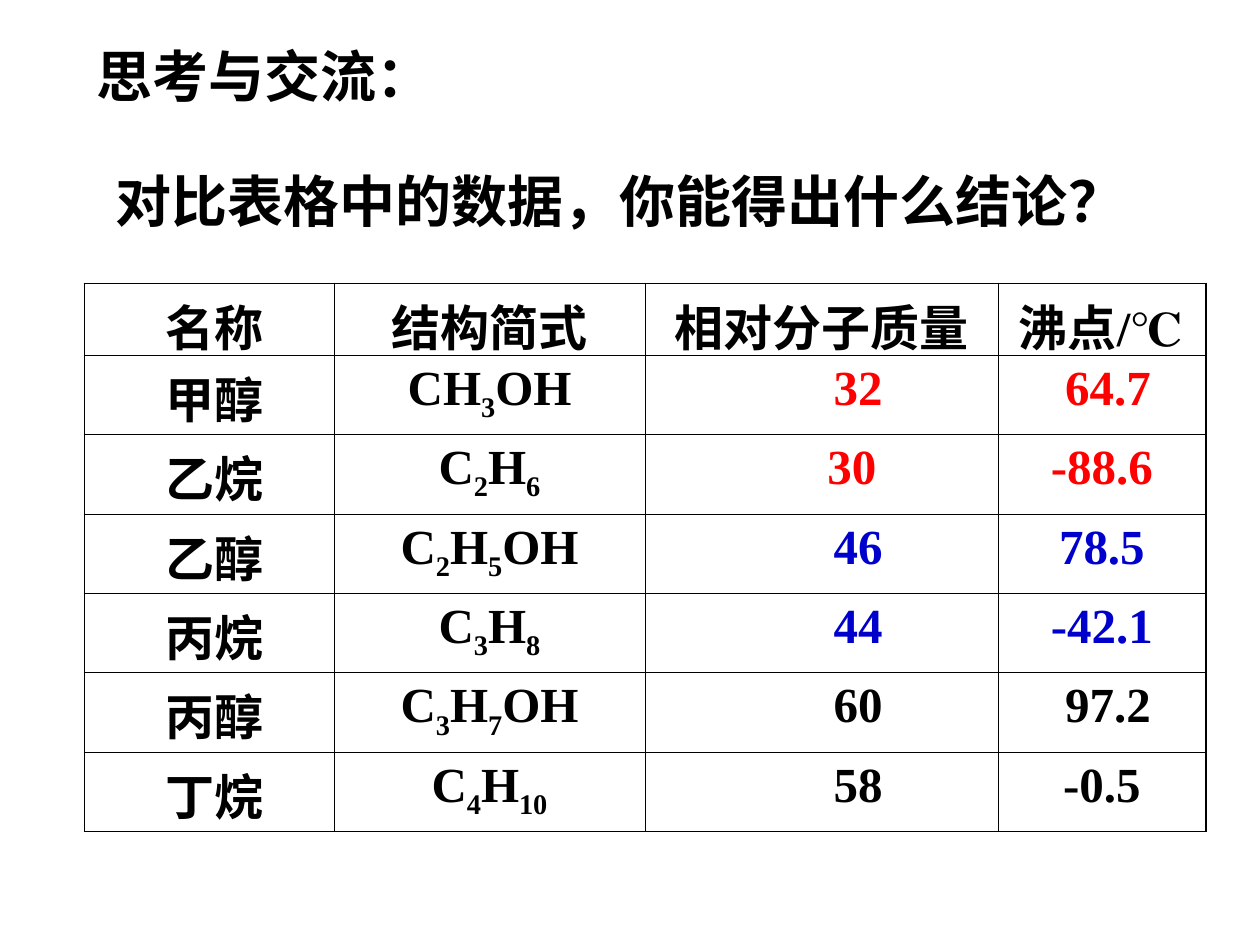
from lxml import etree
from pptx import Presentation
from pptx.dml.color import RGBColor
from pptx.enum import text
from pptx.oxml.ns import qn
from pptx.util import Inches, Pt

BLACK = RGBColor(0, 0, 0)
RED = RGBColor(0xFF, 0, 0)
BLUE = RGBColor(0, 0, 0xCC)
CJK = "Noto Sans CJK SC"
SERIF = "Times New Roman"

HEADINGS = [  # wording, box in inches, Latin font
    ("思考与交流：", (0.67, 0.28, 5.12, 0.64), CJK),
    ("对比表格中的数据，你能得出什么结论？", (0.82, 1.27, 8.74, 0.64), "Arial"),
]
HEADER = (" 名称", "结构简式", "相对分子质量", "沸点/℃")
COMPOUNDS = [  # name, formula, relative mass, boiling point, colour of values
    (" 甲醇", "CH3OH", "32", " 64.7", RED),
    (" 乙烷", "C2H6", "30 ", "-88.6", RED),
    (" 乙醇", "C2H5OH", "46", "78.5", BLUE),
    (" 丙烷", "C3H8", "44", "-42.1", BLUE),
    (" 丙醇", "C3H7OH", "60", " 97.2", BLACK),
    (" 丁烷", "C4H10", "58", "-0.5", BLACK),
]
COL_WIDTHS = (1.98, 2.47, 2.8, 1.65)
HEADER_HEIGHT, ROW_HEIGHT = 0.57, 0.63
FORMULA, MASS = 1, 2
MASS_INDENT = 0.58
THIN, THICK = 0.45, 1.08


def split_formula(formula):
    """Cut a formula into alternating runs of letters and digits."""
    parts = []
    for ch in formula:
        if parts and parts[-1][-1].isdigit() == ch.isdigit():
            parts[-1] += ch
        else:
            parts.append(ch)
    return parts


def write(tf, parts, size=28, font=SERIF, color=BLACK, align=None, indent=0):
    """Write runs into the first paragraph; digits among several runs sink."""
    p = tf.paragraphs[0]
    p.alignment = align
    if indent:
        p._p.get_or_add_pPr().set("marL", str(Inches(indent)))
    for part in parts:
        r = p.add_run()
        r.text = part
        r.font.size, r.font.bold, r.font.name = Pt(size), True, font
        r.font.color.rgb = color
        rPr = r._r.get_or_add_rPr()
        etree.SubElement(rPr, qn("a:ea")).set("typeface", CJK)
        if len(parts) > 1 and part.isdigit():
            rPr.set("baseline", "-25000")


def set_borders(cell, **widths):
    tcPr = cell._tc.get_or_add_tcPr()
    for i, side in enumerate("LRTB"):
        ln = etree.Element(qn(f"a:ln{side}"), w=str(Pt(widths[side])))
        fill = etree.SubElement(ln, qn("a:solidFill"))
        etree.SubElement(fill, qn("a:srgbClr")).set("val", str(BLACK))
        tcPr.insert(i, ln)


def add_heading(slide, wording, box, font):
    tf = slide.shapes.add_textbox(*map(Inches, box)).text_frame
    tf.word_wrap = True
    tf.auto_size = text.MSO_AUTO_SIZE.SHAPE_TO_FIT_TEXT
    write(tf, [wording], size=32, font=font)


def add_compound_table(slide):
    rows = [(*HEADER, BLACK)] + COMPOUNDS
    heights = [HEADER_HEIGHT] + [ROW_HEIGHT] * len(COMPOUNDS)
    n_rows, n_cols = len(rows), len(COL_WIDTHS)
    table = slide.shapes.add_table(
        n_rows, n_cols, Inches(0.67), Inches(2.25),
        Inches(sum(COL_WIDTHS)), Inches(sum(heights))).table
    table.first_row = table.horz_banding = False
    for column, width in zip(table.columns, COL_WIDTHS):
        column.width = Inches(width)
    for i, (*values, color) in enumerate(rows):
        table.rows[i].height = Inches(heights[i])
        for j, value in enumerate(values):
            cell = table.cell(i, j)
            cell.fill.background()
            cell.margin_bottom = 0
            set_borders(cell,
                        L=THIN if j else THICK,
                        R=THIN if j < n_cols - 1 else THICK,
                        T=THIN if i else THICK,
                        B=THIN if i < n_rows - 1 else THICK)
            write(cell.text_frame,
                  split_formula(value) if i and j == FORMULA else [value],
                  color=color if j >= MASS else BLACK,
                  align=text.PP_ALIGN.CENTER,
                  indent=MASS_INDENT if i and j == MASS else 0)


prs = Presentation()
prs.slide_width, prs.slide_height = Inches(10), Inches(7.5)
s = prs.slides.add_slide(prs.slide_layouts[6])
for heading in HEADINGS:
    add_heading(s, *heading)
add_compound_table(s)
prs.save("out.pptx")
